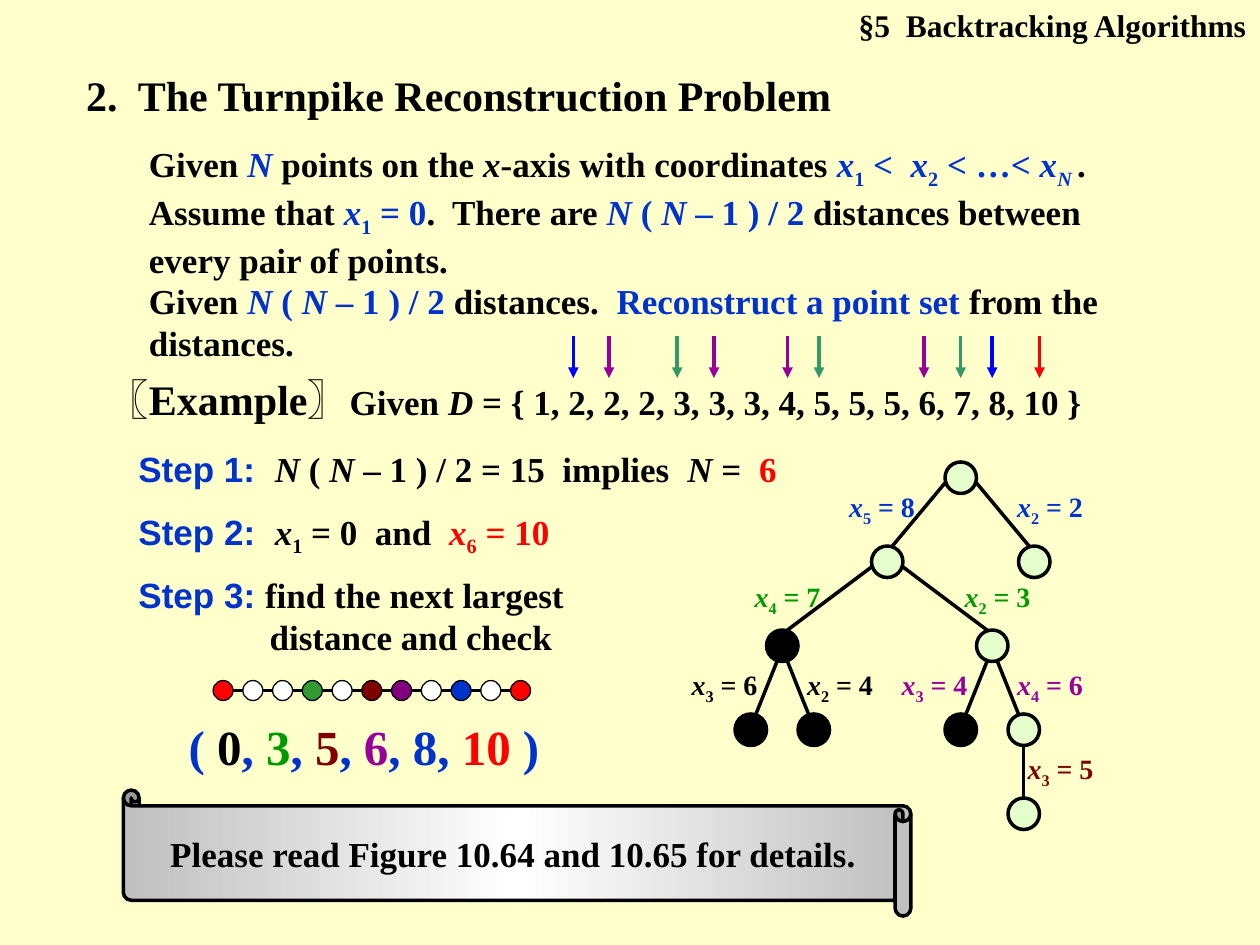
from copy import deepcopy

from lxml import etree
from pptx import Presentation
from pptx.dml.color import RGBColor
from pptx.enum.shapes import MSO_CONNECTOR, MSO_SHAPE
from pptx.enum.text import MSO_ANCHOR, MSO_AUTO_SIZE, PP_ALIGN
from pptx.oxml.ns import qn
from pptx.util import Pt

LEFT, CENTER, RIGHT = PP_ALIGN.LEFT, PP_ALIGN.CENTER, PP_ALIGN.RIGHT
TOP, MIDDLE = MSO_ANCHOR.TOP, MSO_ANCHOR.MIDDLE
NO_AUTOFIT = MSO_AUTO_SIZE.NONE
STRAIGHT = MSO_CONNECTOR.STRAIGHT
OVAL, SCROLL = MSO_SHAPE.OVAL, MSO_SHAPE.HORIZONTAL_SCROLL

SERIF, SANS = "Times New Roman", "Arial"
BLACK, WHITE, RED, BLUE = "000000", "FFFFFF", "FF0000", "0033CC"
GREEN, MAROON, PURPLE = "009900", "800000", "990099"
CREAM, MINT, SILVER = "FFFFCC", "CCFFCC", "C0C0C0"
ARROW_BLUE, ARROW_GREEN = "0000FF", "339966"

# Runs are (colour, markup): *italic*, ~subscript~
PAIR_COUNT = (BLUE, "*N* ( *N* – 1 ) / 2")
POINTS_TEXT = [
    (BLACK, "Given "), (BLUE, "*N*"), (BLACK, " points on the *x*-axis with coordinates "),
    (BLUE, "*x*~1~ <  *x*~2~ < …< *x~N ~*"), (BLACK, ".  Assume that "),
    (BLUE, "*x*~1~ = 0"), (BLACK, ".  There are "), PAIR_COUNT,
    (BLACK, " distances between every pair of points."),
]
GOAL_TEXT = [
    (BLACK, "Given "), PAIR_COUNT, (BLACK, " distances.  "),
    (BLUE, "Reconstruct a point set"), (BLACK, " from the distances."),
]
DISTANCES_TEXT = [(BLACK, "Given *D* = { 1, 2, 2, 2, 3, 3, 3, 4, 5, 5, 5, 6, 7, 8, 10 }")]
STEPS = [
    ("Step 1:  ", 396, [(BLACK, "*N* ( *N* – 1 ) / 2 = 15  implies  *N* =  "), (RED, "6")]),
    ("Step 2:  ", 276, [(BLACK, "*x*~1~ = 0  and  "), (RED, "*x*~6~ = 10")]),
    ("Step 3: ", 276, [(BLACK, "find the next largest distance and check")]),
]
SOLUTION_TEXT = [
    (BLUE, "( "), (BLACK, "0"), (BLUE, ", "), (GREEN, "3"), (BLUE, ", "), (MAROON, "5"),
    (BLUE, ", "), (PURPLE, "6"), (BLUE, ", 8, "), (RED, "10"), (BLUE, " )"),
]

ARROWS = {
    ARROW_BLUE: [327.6, 567],
    PURPLE: [348, 408, 450, 528],
    ARROW_GREEN: [387, 468, 549],
    RED: [594],
}
BEAD_COLOURS = [RED, WHITE, WHITE, "339933", WHITE, MAROON, "800080", WHITE, BLUE, WHITE, RED]

# Tree: centre x and level of each node, and whether the branch is rejected
LEVEL_TOP, LEVEL_STEP, NODE_SIZE = 264, 48, 18
NODES = {
    "root": (549, 0, False),
    "8": (507, 1, False), "2": (591, 1, False),
    "8-7": (447, 2, True), "8-3": (567, 2, False),
    "8-7-6": (429, 3, True), "8-7-4": (465, 3, True),
    "8-3-4": (549, 3, True), "8-3-6": (585, 3, False),
    "8-3-6-5": (585, 4, False),
}
# parent, child, label, label colour, label left, label top
BRANCHES = [
    ("root", "8", "*x*~5~ = 8", BLUE, 474, 276),
    ("root", "2", "*x*~2~ = 2", BLUE, 570, 276),
    ("8", "8-7", "*x*~4~ = 7", GREEN, 420, 327.6),
    ("8", "8-3", "*x*~2~ = 3", GREEN, 540, 327.6),
    ("8-7", "8-7-6", "*x*~3~ = 6", BLACK, 384, 378),
    ("8-7", "8-7-4", "*x*~2~ = 4", BLACK, 450, 378),
    ("8-3", "8-3-4", "*x*~3~ = 4", PURPLE, 504, 378),
    ("8-3", "8-3-6", "*x*~4~ = 6", PURPLE, 570, 378),
    ("8-3-6", "8-3-6-5", "*x*~3~ = 5", MAROON, 576, 426),
]


def colour(value):
    return RGBColor.from_string(value)


def write_runs(paragraph, runs, size, font_name=SERIF):
    """Add (colour, markup) runs, where * toggles italic and ~ subscript."""
    for run_colour, markup in runs:
        for italic_index, piece in enumerate(markup.split("*")):
            for subscript_index, text in enumerate(piece.split("~")):
                if not text:
                    continue
                run = paragraph.add_run()
                run.text = text
                format_values = {"name": font_name, "size": Pt(size), "bold": True,
                                 "italic": italic_index % 2 == 1}
                for name, value in format_values.items():
                    setattr(run.font, name, value)
                run.font.color.rgb = colour(run_colour)
                if subscript_index % 2:
                    run.font._element.set("baseline", "-25000")


def prepare_text(shape, alignment=LEFT, anchor=TOP, wrap=True):
    frame = shape.text_frame
    format_values = {"auto_size": NO_AUTOFIT, "word_wrap": wrap, "vertical_anchor": anchor}
    for name, value in format_values.items():
        setattr(frame, name, value)
    paragraph = frame.paragraphs[0]
    paragraph.alignment = alignment
    return paragraph


def add_text(slide, box, runs, size, alignment=LEFT):
    shape = slide.shapes.add_textbox(*map(Pt, box))
    paragraph = prepare_text(shape, alignment)
    write_runs(paragraph, runs, size)
    return paragraph


def add_title(slide, box, text):
    title = slide.shapes.title
    for name, value in zip(("left", "top", "width", "height"), box):
        setattr(title, name, Pt(value))
    write_runs(prepare_text(title), [(BLACK, text)], 24)


def add_line(slide, start, end, line_colour=BLACK, arrow=False):
    line = slide.shapes.add_connector(STRAIGHT, *map(Pt, (*start, *end)))
    line.line.color.rgb = colour(line_colour)
    line.line.width = Pt(2)
    properties = line._element.spPr
    if arrow:
        etree.SubElement(properties.find(qn("a:ln")), qn("a:tailEnd"), type="triangle")
    etree.SubElement(properties, qn("a:effectLst"))


def add_outlined_shape(slide, kind, box, line_width):
    shape = slide.shapes.add_shape(kind, *map(Pt, box))
    shape.shadow.inherit = False
    shape.line.color.rgb = colour(BLACK)
    shape.line.width = Pt(line_width)
    return shape


def add_circle(slide, left, top, size, fill_colour, line_width, opacity=100):
    circle = add_outlined_shape(slide, OVAL, (left, top, size, size), line_width)
    circle.fill.solid()
    circle.fill.fore_color.rgb = colour(fill_colour)
    if opacity < 100:
        fill = circle._element.spPr.find(qn("a:solidFill"))
        etree.SubElement(fill[0], qn("a:alpha"), val=str(opacity * 1000))


def add_steps(slide):
    for index, (label, width, runs) in enumerate(STEPS):
        paragraph = add_text(slide, (72, 252 + 36 * index, width, 31), [], 20)
        write_runs(paragraph, [(BLUE, label)], 20, SANS)
        write_runs(paragraph, runs, 20)
    hanging = paragraph._p.get_or_add_pPr()
    hanging.set("marL", str(Pt(75)))
    hanging.set("indent", str(Pt(-75)))


def add_tree(slide):
    for parent, child, label, label_colour, left, top in BRANCHES:
        (parent_x, parent_level, _), (child_x, child_level, _) = NODES[parent], NODES[child]
        offset = child_x - parent_x
        side = (offset > 0) - (offset < 0)
        parent_top = LEVEL_TOP + LEVEL_STEP * parent_level
        if abs(offset) > NODE_SIZE:
            start = (parent_x + side * NODE_SIZE / 2, parent_top + 12)
        else:
            start = (parent_x + side * 3, parent_top + NODE_SIZE)
        add_line(slide, start, (child_x - side * 3, LEVEL_TOP + LEVEL_STEP * child_level))
        add_text(slide, (left, top, 60, 26.4), [(label_colour, label)], 16, CENTER)
    for x, level, rejected in NODES.values():
        fill_colour, opacity = (BLACK, 100) if rejected else (MINT, 50)
        add_circle(slide, x - NODE_SIZE / 2, LEVEL_TOP + LEVEL_STEP * level,
                   NODE_SIZE, fill_colour, 2, opacity)


def add_beads(slide):
    left, middle, gap, size = 121.8, 394.6, 17, 11.4
    centres = [left + size / 2 + gap * index for index in range(len(BEAD_COLOURS))]
    for start, end in zip(centres, centres[1:]):
        add_line(slide, (start, middle), (end, middle))
    for centre, bead_colour in zip(centres, BEAD_COLOURS):
        add_circle(slide, centre - size / 2, middle - size / 2, size, bead_colour, 0.75)


def add_scroll(slide, box, text):
    scroll = add_outlined_shape(slide, SCROLL, box, 2)
    scroll._element.spPr.xfrm.set("flipH", "1")
    scroll.fill.gradient()
    scroll.fill.gradient_angle = 0
    stop_list = scroll._element.spPr.find(qn("a:gradFill")).find(qn("a:gsLst"))
    stop_list.append(deepcopy(stop_list[0]))
    stops = zip(scroll.fill.gradient_stops, (0, 0.5, 1), (SILVER, WHITE, SILVER))
    for stop, position, stop_colour in stops:
        stop.position = position
        stop.color.rgb = colour(stop_colour)
    write_runs(prepare_text(scroll, CENTER, MIDDLE, wrap=False), [(BLACK, text)], 20)


def main():
    presentation = Presentation()
    presentation.slide_width, presentation.slide_height = Pt(720), Pt(540)
    slide = presentation.slides.add_slide(presentation.slide_layouts[5])
    slide.background.fill.solid()
    slide.background.fill.fore_color.rgb = colour(CREAM)

    add_text(slide, (455.8, 0, 263.5, 29), [(BLACK, "§5  Backtracking Algorithms")], 18, RIGHT)
    add_title(slide, (42, 36, 462, 36), "2.  The Turnpike Reconstruction Problem")
    add_text(slide, (78, 78, 588, 79), POINTS_TEXT, 20)
    add_text(slide, (78, 156, 588, 55.5), GOAL_TEXT, 20)
    example = add_text(slide, (54, 210, 594, 36), [(BLACK, "〖Example〗")], 24)
    write_runs(example, DISTANCES_TEXT, 20)
    for arrow_colour, positions in ARROWS.items():
        for x in positions:
            add_line(slide, (x, 192), (x, 216), arrow_colour, arrow=True)
    add_steps(slide)
    add_tree(slide)
    add_beads(slide)
    add_text(slide, (82, 406, 252, 41), SOLUTION_TEXT, 28, CENTER)
    add_scroll(slide, (70.5, 451.5, 450, 72), "Please read Figure 10.64 and 10.65 for details.")
    presentation.save("out.pptx")


if __name__ == "__main__":
    main()
